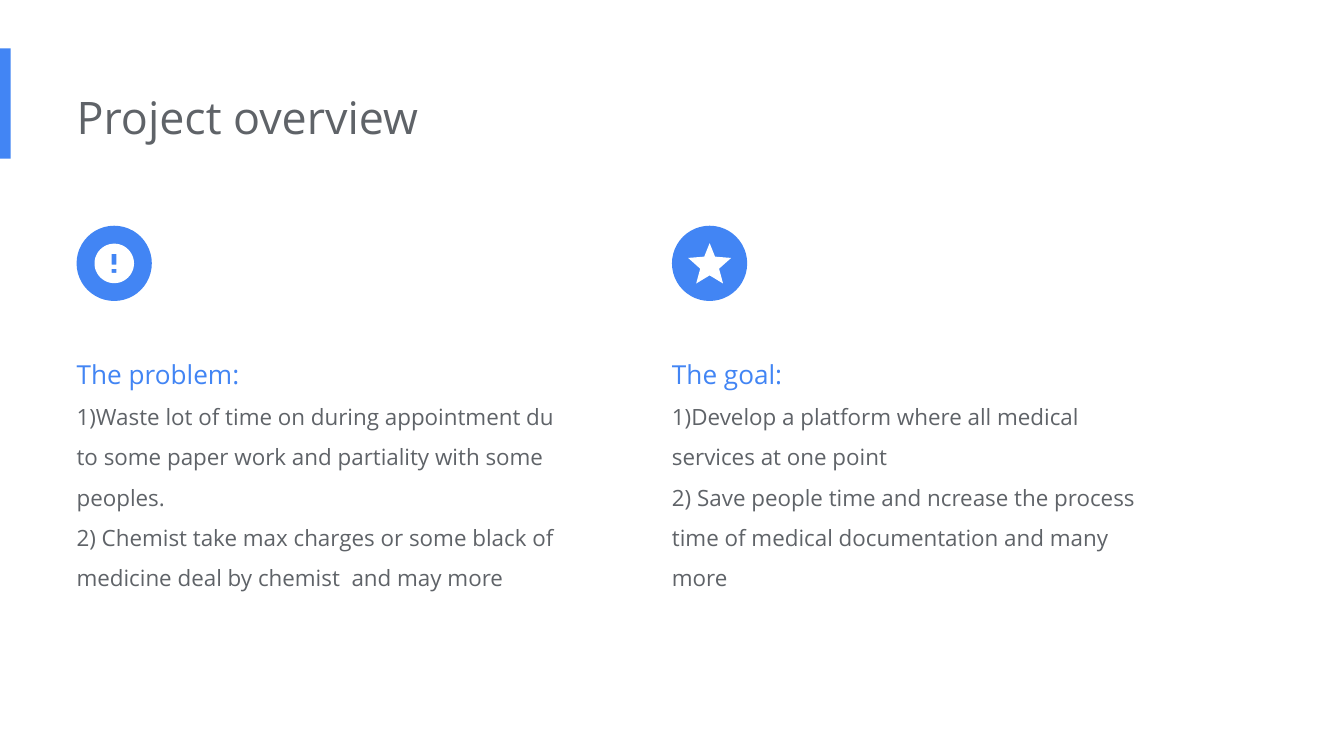
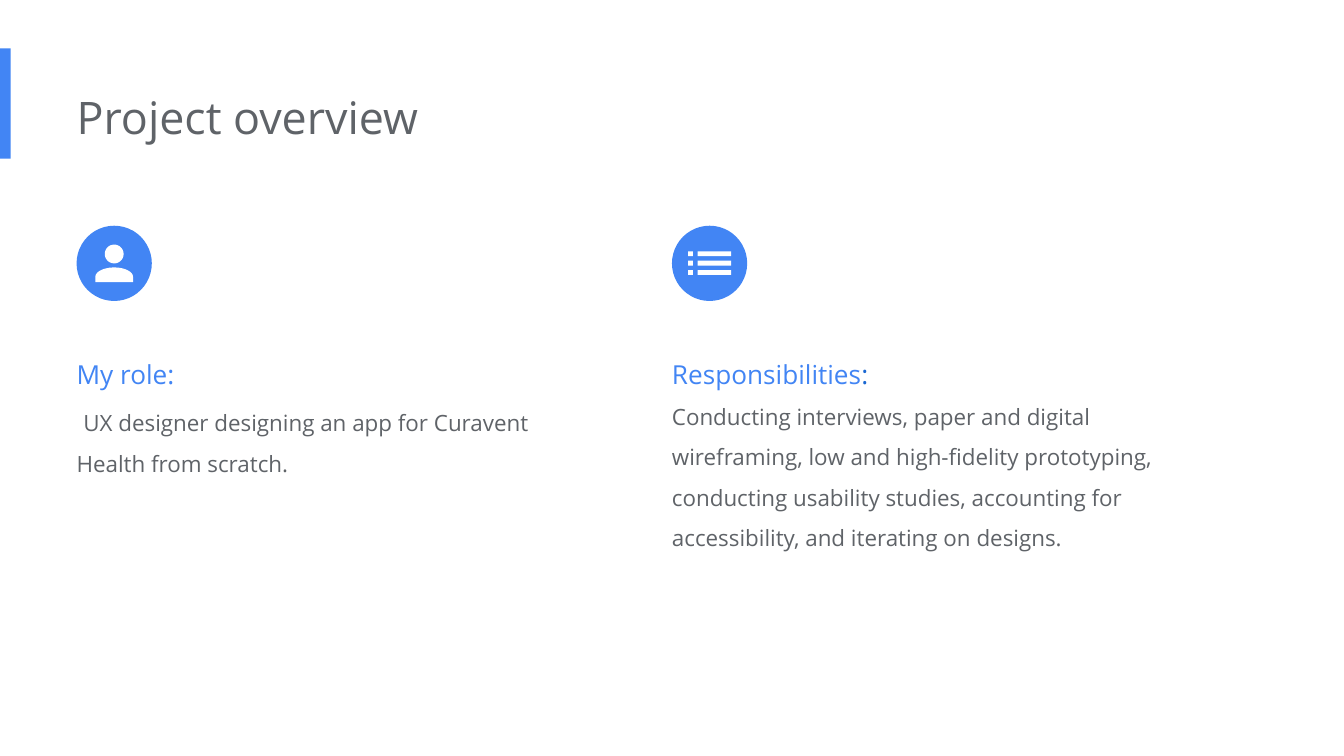
from dataclasses import dataclass
from math import cos, pi, sin

from pptx import Presentation
from pptx.dml.color import RGBColor
from pptx.enum.shapes import MSO_SHAPE
from pptx.enum.text import MSO_ANCHOR, MSO_AUTO_SIZE, PP_ALIGN
from pptx.shapes.autoshape import Shape
from pptx.slide import Slide
from pptx.text.text import TextFrame
from pptx.util import Emu, Inches, Pt

Point = tuple[float, float]
Contour = list[Point]

WIDTH, HEIGHT = Inches(10), Inches(5.625)
COLUMNS = 100
CELL = WIDTH / COLUMNS

FONT = "Open Sans"
BLUE, DEEP_BLUE, GREY, WHITE = "4285F4", "1967D2", "5F6368", "FFFFFF"

LEFT_COLUMN, RIGHT_COLUMN = 5.7, 50
BADGE_ROW, BADGE_SIZE = 16.8, 5.6
TEXT_ROW, TEXT_WIDTH = 24.5, 37.7
CENTRE = BADGE_SIZE / 2


@dataclass
class Span:
    text: str
    size: float = 12
    color: str = GREY


@dataclass
class Topic:
    column: float
    rows: float
    icon: list[Contour]
    paragraphs: list[list[Span]]


def cells(count: float) -> Emu:
    return Emu(round(count * CELL))


def rgb(value: str) -> RGBColor:
    return RGBColor.from_string(value)


def heading(text: str) -> Span:
    return Span(text, 14, BLUE)


def box(left: float, top: float, width: float, height: float) -> Contour:
    right, bottom = left + width, top + height
    return [(left, top), (right, top), (right, bottom), (left, bottom)]


def arc(x: float, y: float, rx: float, ry: float,
        start: float = 0, sweep: float = 2 * pi, steps: int = 48) -> Contour:
    angles = [start + sweep * step / steps for step in range(steps + 1)]
    return [(x + rx * cos(angle), y + ry * sin(angle)) for angle in angles]


ALERT = [arc(CENTRE, CENTRE, 1.47, 1.47), box(2.6, 2.1, 0.35, 0.8), box(2.6, 3.2, 0.35, 0.3)]
STAR = [[(2.8, 3.7), (3.8, 4.3), (3.5, 3.2), (4.4, 2.4), (3.2, 2.3),
         (2.8, 1.3), (2.4, 2.3), (1.2, 2.4), (2.1, 3.2), (1.8, 4.3)]]
PERSON = [
    arc(CENTRE, 2.1, 0.7, 0.7),
    arc(CENTRE, 3.8, 1.4, 0.7, pi, pi) + [(4.2, 4.2), (1.4, 4.2)],
]
CHECKLIST = [
    box(left, 1.9 + 0.7 * row, width, 0.36)
    for row in range(3)
    for left, width in ((1.2, 0.36), (1.9, 2.5))
]

SLIDES = [
    [
        Topic(LEFT_COLUMN, 20.7, ALERT, [
            [heading("The problem:")],
            [Span("1)Waste lot of time on during appointment du to some paper work "
                  "and partiality with some peoples.")],
            [Span("2) Chemist take max charges or some black of medicine deal by "
                  "chemist  and may more")],
        ]),
        Topic(RIGHT_COLUMN, 20.7, STAR, [
            [heading("The goal:")],
            [Span("1)Develop a platform where all medical services at one point")],
            [Span("2) Save people time and ncrease the process time of medical "
                  "documentation and many more")],
        ]),
    ],
    [
        Topic(LEFT_COLUMN, 12.1, PERSON, [
            [heading("My role:")],
            [Span(" ", 14, DEEP_BLUE),
             Span("UX designer designing an app for Curavent Health from scratch.")],
        ]),
        Topic(RIGHT_COLUMN, 17.7, CHECKLIST, [
            [heading("Responsibilities"), Span(":", 14, DEEP_BLUE)],
            [Span("Conducting interviews, paper and digital wireframing, low and "
                  "high-fidelity prototyping, conducting usability studies, "
                  "accounting for accessibility, and iterating on designs.")],
        ]),
    ],
]


def paint(shape: Shape, color: str) -> None:
    shape.shadow.inherit = False
    shape.fill.solid()
    shape.fill.fore_color.rgb = rgb(color)
    shape.line.fill.background()


def add_block(slide: Slide, kind: MSO_SHAPE, left: float, top: float,
              width: float, height: float) -> None:
    block = slide.shapes.add_shape(kind, cells(left), cells(top), cells(width), cells(height))
    paint(block, BLUE)


def add_icon(slide: Slide, column: float, contours: list[Contour]) -> None:
    placed = [[(cells(column + x), cells(BADGE_ROW + y)) for x, y in contour]
              for contour in contours]
    builder = slide.shapes.build_freeform(*placed[0][0])
    for index, contour in enumerate(placed):
        if index:
            builder.move_to(*contour[0])
        builder.add_line_segments(contour[1:], close=True)
    paint(builder.convert_to_shape(), WHITE)


def set_frame(frame: TextFrame, fit: MSO_AUTO_SIZE) -> None:
    frame.word_wrap = True
    frame.auto_size = fit
    frame.vertical_anchor = MSO_ANCHOR.TOP
    frame.margin_left = 0
    frame.margin_top = frame.margin_right = frame.margin_bottom = cells(1)


def write(frame: TextFrame, paragraphs: list[list[Span]], spacing: float) -> None:
    for index, spans in enumerate(paragraphs):
        paragraph = frame.add_paragraph() if index else frame.paragraphs[0]
        paragraph.alignment = PP_ALIGN.LEFT
        paragraph.line_spacing = spacing
        for span in spans:
            run = paragraph.add_run()
            run.text = span.text
            run.font.name = FONT
            run.font.size = Pt(span.size)
            run.font.color.rgb = rgb(span.color)


def add_title(slide: Slide, text: str) -> None:
    title = slide.shapes.title
    title.left, title.top = cells(LEFT_COLUMN), cells(5.7)
    title.width, title.height = cells(67.3), cells(6.1)
    set_frame(title.text_frame, MSO_AUTO_SIZE.NONE)
    write(title.text_frame, [[Span(text, 24)]], 1.0)


def add_topic(slide: Slide, topic: Topic) -> None:
    add_block(slide, MSO_SHAPE.OVAL, topic.column, BADGE_ROW, BADGE_SIZE, BADGE_SIZE)
    add_icon(slide, topic.column, topic.icon)
    body = slide.shapes.add_textbox(cells(topic.column), cells(TEXT_ROW),
                                    cells(TEXT_WIDTH), cells(topic.rows))
    set_frame(body.text_frame, MSO_AUTO_SIZE.SHAPE_TO_FIT_TEXT)
    write(body.text_frame, topic.paragraphs, 1.5)


def main() -> None:
    deck = Presentation()
    deck.slide_width, deck.slide_height = WIDTH, HEIGHT
    title_only = deck.slide_layouts[5]
    for topics in SLIDES:
        slide = deck.slides.add_slide(title_only)
        add_block(slide, MSO_SHAPE.RECTANGLE, 0, 3.6, 0.8, 8.2)
        add_title(slide, "Project overview")
        for topic in topics:
            add_topic(slide, topic)
    deck.save("out.pptx")


if __name__ == "__main__":
    main()
